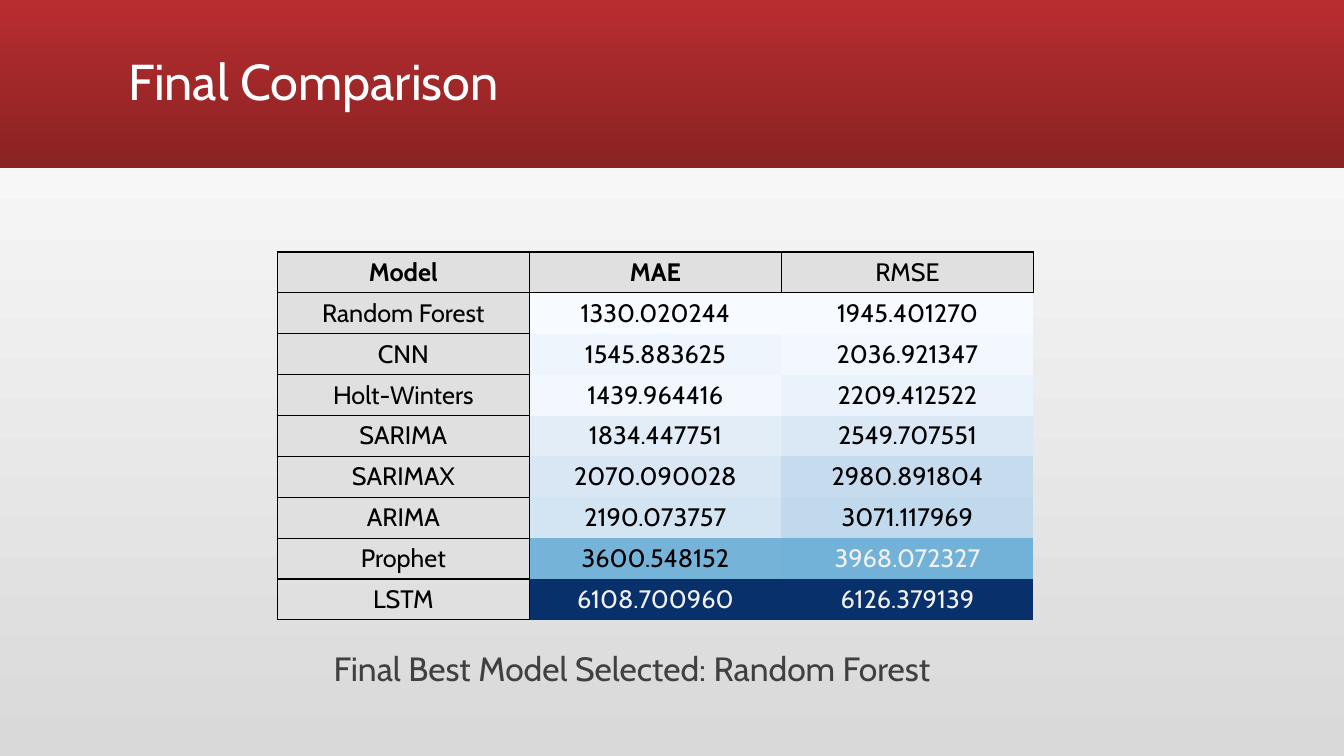
"""Build the model comparison slide with its shaded error table."""
from lxml.etree import SubElement
from pptx import Presentation
from pptx.dml.color import RGBColor as Color
from pptx.enum.shapes import MSO_SHAPE as Shape
from pptx.enum.text import MSO_ANCHOR as Anchor, PP_ALIGN as Align
from pptx.oxml.ns import qn
from pptx.util import Inches, Pt

FONT = "Cabin"
WHITE = Color(0xFF, 0xFF, 0xFF)
BLACK = Color(0x00, 0x00, 0x00)
SILVER = Color(0xD9, 0xD9, 0xD9)
RED = Color(0xB8, 0x2D, 0x2F)
DARK_RED = Color(0x8A, 0x22, 0x23)
CHARCOAL = Color(0x40, 0x40, 0x40)
LABEL_GREY = Color(0xE0, 0xE0, 0xE1)
PALE_TEXT = Color(0xF1, 0xF1, 0xF1)
PALE_TEXT_FROM = 3900

HEADINGS = ("Model", "MAE", "RMSE")
RESULTS = (
    ("Random Forest", "1330.020244", "1945.401270"),
    ("CNN", "1545.883625", "2036.921347"),
    ("Holt-Winters", "1439.964416", "2209.412522"),
    ("SARIMA", "1834.447751", "2549.707551"),
    ("SARIMAX", "2070.090028", "2980.891804"),
    ("ARIMA", "2190.073757", "3071.117969"),
    ("Prophet", "3600.548152", "3968.072327"),
    ("LSTM", "6108.700960", "6126.379139"),
)
MAE_SHADES = (
    Color(0xF7, 0xFB, 0xFF), Color(0xEE, 0xF5, 0xFC),
    Color(0xF3, 0xF8, 0xFE), Color(0xE2, 0xED, 0xF8),
    Color(0xD9, 0xE7, 0xF5), Color(0xD3, 0xE4, 0xF3),
    Color(0x75, 0xB4, 0xD8), Color(0x08, 0x30, 0x6B),
)
RMSE_SHADES = (
    Color(0xF7, 0xFB, 0xFF), Color(0xF3, 0xF8, 0xFE),
    Color(0xEA, 0xF3, 0xFB), Color(0xDA, 0xE8, 0xF6),
    Color(0xC7, 0xDB, 0xEF), Color(0xC1, 0xD9, 0xED),
    Color(0x72, 0xB2, 0xD8), Color(0x08, 0x30, 0x6B),
)


def write(frame, text, size=18, color=BLACK, bold=False, align=Align.LEFT,
          anchor=Anchor.TOP, spacing=None):
    frame.word_wrap = True
    frame.vertical_anchor = anchor
    para = frame.paragraphs[0]
    para.alignment = align
    para.line_spacing = spacing
    span = para.add_run()
    span.text = text
    font = span.font
    font.name, font.size, font.bold = FONT, Pt(size), bold
    font.color.rgb = color


def fill_gradient(fill, start, end, angle):
    fill.gradient()
    fill.gradient_angle = angle
    for stop, color in zip(fill.gradient_stops, (start, end)):
        stop.color.rgb = color


def add_header(page):
    band = page.shapes.add_shape(Shape.RECTANGLE, 0, 0, Inches(13.33), Inches(1.67))
    band.shadow.inherit = False
    band.line.fill.background()
    fill_gradient(band.fill, RED, DARK_RED, 270)
    page.shapes._spTree.insert(2, band._element)

    title = page.shapes.title
    title.left, title.top = Inches(1.17), Inches(0.11)
    title.width, title.height = Inches(11), Inches(1.45)
    write(title.text_frame, "Final Comparison", size=36, color=WHITE,
          anchor=Anchor.MIDDLE, spacing=0.9)


def set_borders(cell, row, column):
    label = row == 0 or column == 0
    edges = {"L": label or column == 1, "R": label,
             "T": label or row == 1, "B": label}
    properties = cell._tc.get_or_add_tcPr()
    for side, drawn in edges.items():
        line = SubElement(properties, qn(f"a:ln{side}"), w=str(Pt(1) if drawn else 0))
        if drawn:
            solid = SubElement(line, qn("a:solidFill"))
            SubElement(solid, qn("a:srgbClr"), val=str(BLACK))
        else:
            SubElement(line, qn("a:noFill"))


def add_results_table(page):
    rows = (HEADINGS, *RESULTS)
    table = page.shapes.add_table(len(rows), len(HEADINGS), Inches(2.75), Inches(2.5),
                                  Inches(7.5), Inches(3.6)).table
    for row, texts in enumerate(rows):
        table.rows[row].height = Inches(0.4)
        for column, text in enumerate(texts):
            cell = table.cell(row, column)
            set_borders(cell, row, column)
            shade, color = LABEL_GREY, BLACK
            if row and column:
                shade = (MAE_SHADES, RMSE_SHADES)[column - 1][row - 1]
                color = PALE_TEXT if float(text) > PALE_TEXT_FROM else BLACK
            cell.fill.solid()
            cell.fill.fore_color.rgb = shade
            cell.vertical_anchor = Anchor.MIDDLE
            write(cell.text_frame, text, color=color, align=Align.CENTER,
                  bold=text in ("Model", "MAE"), anchor=None)


def add_conclusion(page):
    box = page.shapes.add_textbox(Inches(3.21), Inches(6.42), Inches(7.04), Inches(0.84))
    write(box.text_frame, "Final Best Model Selected: Random Forest", size=24,
          color=CHARCOAL, spacing=0.9)


def main():
    deck = Presentation()
    deck.slide_width, deck.slide_height = Inches(13.33), Inches(7.5)
    page = deck.slides.add_slide(deck.slide_layouts[5])
    fill_gradient(page.background.fill, SILVER, WHITE, 90)
    add_header(page)
    add_results_table(page)
    add_conclusion(page)
    deck.save("out.pptx")


if __name__ == "__main__":
    main()
